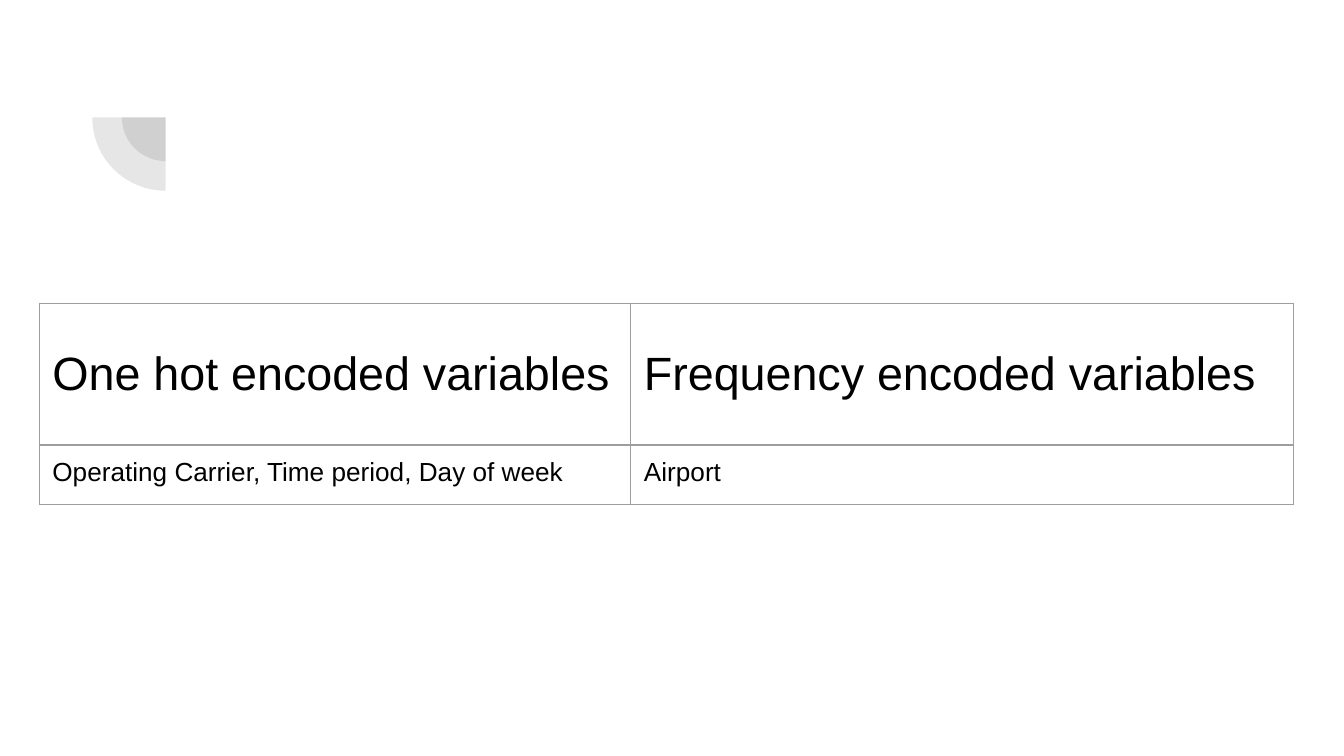
from lxml.etree import SubElement
from pptx import Presentation
from pptx.dml.color import RGBColor
from pptx.enum.shapes import MSO_SHAPE as Shape
from pptx.enum.text import MSO_ANCHOR as Anchor
from pptx.oxml.ns import qn
from pptx.util import Cm, Pt


def color(value):
    """Turn a hex string into a colour."""
    return RGBColor.from_string(value)


class SlideBuilder:
    """Hold the style and the current slide."""

    font_name = "Arial"
    text_color = "000000"
    border_color = "9E9E9E"
    ornament_color = "424242"
    ornament_alpha = 13
    cell_margin = 0.25

    def __init__(self, slide):
        """Keep the slide to draw on."""
        self.slide = slide

    def quarter(self, center_x, center_y, diameter):
        """Add a translucent lower-left quarter of a circle."""
        shape = self.slide.shapes.add_shape(
            Shape.PIE,
            Cm(center_x - diameter / 2),
            Cm(center_y - diameter / 2),
            Cm(diameter),
            Cm(diameter),
        )
        shape.rotation = 270
        shape.adjustments[0] = 107.93
        shape.adjustments[1] = 162
        shape.shadow.inherit = False
        shape.line.fill.background()
        shape.fill.solid()
        shape.fill.fore_color.rgb = color(self.ornament_color)
        fill_color = shape.fill._xPr.find(qn("a:solidFill"))[0]
        SubElement(fill_color, qn("a:alpha"), val=str(self.ornament_alpha * 1000))

    def borders(self, cell):
        """Draw a thin line on each side of a cell."""
        properties = cell._tc.get_or_add_tcPr()
        for side in ("lnL", "lnR", "lnT", "lnB"):
            line = SubElement(properties, qn(f"a:{side}"), w=str(Pt(0.75)))
            fill = SubElement(line, qn("a:solidFill"))
            SubElement(fill, qn("a:srgbClr"), val=self.border_color)

    def cell(self, cell, text, size, anchor):
        """Fill in and style one table cell."""
        self.borders(cell)
        cell.fill.background()
        cell.vertical_anchor = anchor
        cell.margin_left = cell.margin_right = Cm(self.cell_margin)
        cell.margin_top = cell.margin_bottom = Cm(self.cell_margin)
        run = cell.text_frame.paragraphs[0].add_run()
        run.text = text
        run.font.name = self.font_name
        run.font.size = Pt(size)
        run.font.color.rgb = color(self.text_color)

    def table(self, left, top, widths, heights, rows, styles):
        """Add a table whose rows each have a text size and an anchor."""
        table = self.slide.shapes.add_table(
            len(rows), len(widths), Cm(left), Cm(top), Cm(sum(widths)), Cm(sum(heights))
        ).table
        table.first_row = table.horz_banding = False
        for column, width in zip(table.columns, widths):
            column.width = Cm(width)
        for row, height, texts, style in zip(table.rows, heights, rows, styles):
            row.height = Cm(height)
            for cell, text in zip(row.cells, texts):
                self.cell(cell, text, *style)


def main():
    """Build and save the slide."""
    presentation = Presentation()
    presentation.slide_width = Cm(25.4)
    presentation.slide_height = Cm(14.29)
    builder = SlideBuilder(presentation.slides.add_slide(presentation.slide_layouts[6]))

    for diameter in (1.65, 2.77):
        builder.quarter(3.13, 2.22, diameter)

    builder.table(
        left=0.74,
        top=5.74,
        widths=(11.18, 12.52),
        heights=(2.67, 1.12),
        rows=(
            ("One hot encoded variables", "Frequency encoded variables"),
            ("Operating Carrier, Time period, Day of week", "Airport"),
        ),
        styles=((25, Anchor.MIDDLE), (14, Anchor.TOP)),
    )
    presentation.save("out.pptx")


if __name__ == "__main__":
    main()
